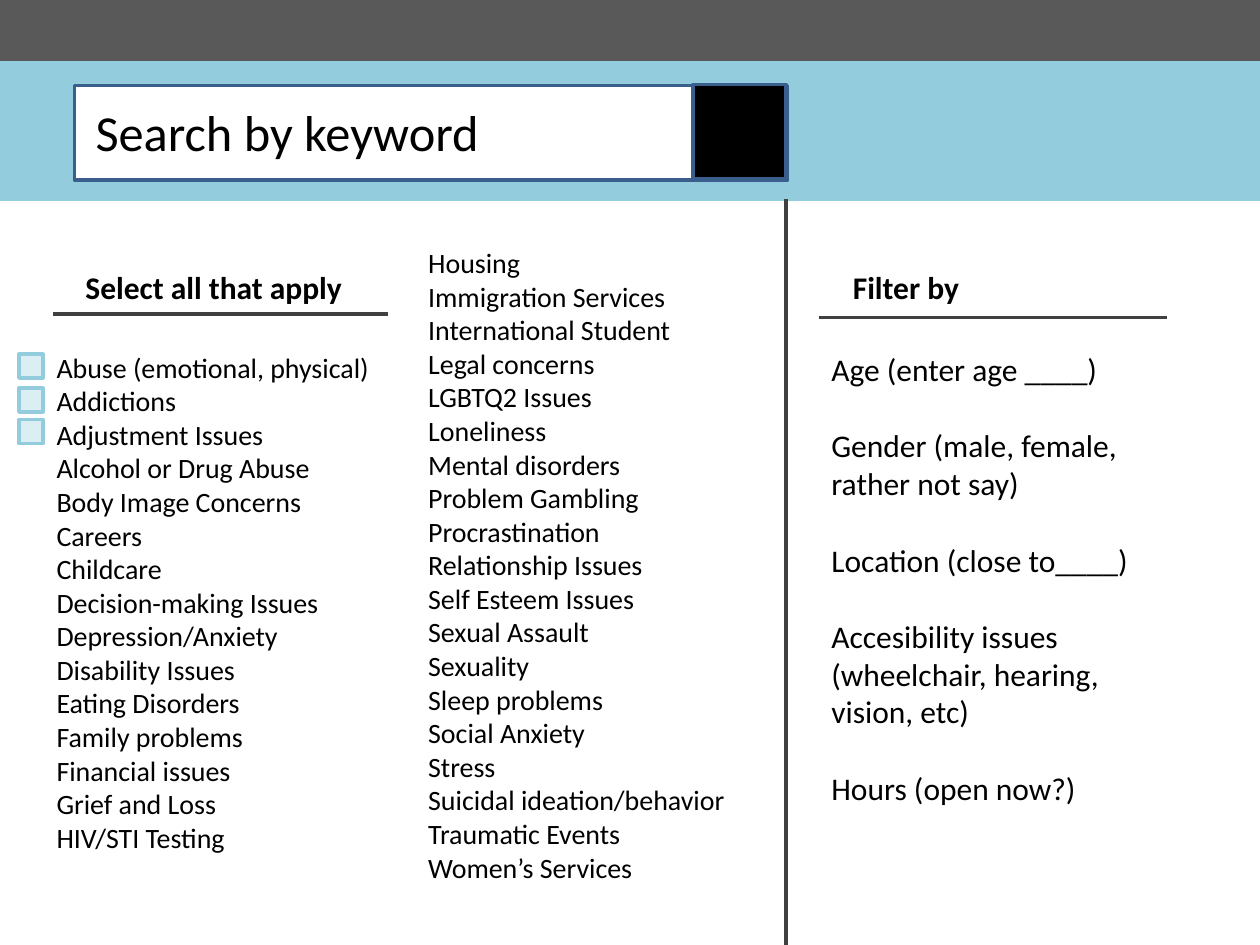
from pptx import Presentation
from pptx.dml.color import RGBColor
from pptx.enum.shapes import MSO_CONNECTOR, MSO_SHAPE
from pptx.enum.text import MSO_ANCHOR, PP_ALIGN
from pptx.oxml.ns import qn
from pptx.util import Inches, Pt
from lxml import etree

RECTANGLE = MSO_SHAPE.RECTANGLE
STRAIGHT = MSO_CONNECTOR.STRAIGHT
LEFT = PP_ALIGN.LEFT
TOP, MIDDLE = MSO_ANCHOR.TOP, MSO_ANCHOR.MIDDLE
FONT = "Calibri"

COLORS = {
    "top_bar": "595959",
    "band": "93CDDD",
    "outline": "3A5F8C",
    "rule": "404040",
    "checkbox": "DBEEF4",
    "white": "FFFFFF",
    "black": "000000",
}

FIRST_TOPICS = [
    "Abuse (emotional, physical)", "Addictions", "Adjustment Issues",
    "Alcohol or Drug Abuse", "Body Image Concerns", "Careers", "Childcare",
    "Decision-making Issues", "Depression/Anxiety", "Disability Issues",
    "Eating Disorders", "Family problems", "Financial issues",
    "Grief and Loss", "HIV/STI Testing",
]
SECOND_TOPICS = [
    "Housing", "Immigration Services", "International Student",
    "Legal concerns", "LGBTQ2 Issues", "Loneliness", "Mental disorders",
    "Problem Gambling", "Procrastination", "Relationship Issues",
    "Self Esteem Issues", "Sexual Assault", "Sexuality", "Sleep problems",
    "Social Anxiety", "Stress", "Suicidal ideation/behavior",
    "Traumatic Events", "Women’s Services",
]
FILTERS = [
    "Age (enter age ____)", "Gender (male, female, rather not say)",
    "Location (close to____)",
    "Accesibility issues (wheelchair, hearing, vision, etc)",
    "Hours (open now?)",
]


def color(name):
    """Return the named colour."""
    return RGBColor.from_string(COLORS[name])


def add_box(page, left, top, width, height, fill, line=None):
    """Add a filled rectangle, outlined when a line colour is given."""
    box = page.shapes.add_shape(RECTANGLE, Inches(left), Inches(top),
                                Inches(width), Inches(height))
    box.shadow.inherit = False
    box.fill.solid()
    box.fill.fore_color.rgb = color(fill)
    if line:
        box.line.color.rgb = color(line)
        box.line.width = Pt(2)
    else:
        box.line.fill.background()
    return box


def write(box, lines, size, bold=False, gap=0, anchor=TOP):
    """Write one black, left-aligned paragraph per line into a box."""
    frame = box.text_frame
    frame.word_wrap = True
    frame.vertical_anchor = anchor
    for index, line in enumerate(lines):
        para = frame.add_paragraph() if index else frame.paragraphs[0]
        para.text = line
        para.alignment = LEFT
        para.space_before = Pt(gap if index else 0)
        para.font.name = FONT
        para.font.size = Pt(size)
        para.font.bold = bold
        para.font.color.rgb = color("black")


def add_text(page, left, top, width, height, lines, size, **style):
    """Add a text box holding the given lines."""
    box = page.shapes.add_textbox(Inches(left), Inches(top),
                                  Inches(width), Inches(height))
    write(box, lines, size, **style)


def add_rule(page, x1, y1, x2, y2):
    """Add a dark straight line without a shadow."""
    rule = page.shapes.add_connector(STRAIGHT, Inches(x1), Inches(y1),
                                     Inches(x2), Inches(y2))
    rule.line.color.rgb = color("rule")
    rule.line.width = Pt(2.25)
    etree.SubElement(rule._element.spPr, qn("a:effectLst"))


def add_search_header(page):
    """Add the top bar, the band and the search field with its button."""
    add_box(page, 0, 0, 10, 0.5, "top_bar", "top_bar")
    add_box(page, 0, 0.5, 10, 1.08, "band", "band")
    add_box(page, 0.59, 0.68, 5.66, 0.75, "white", "outline")
    add_box(page, 5.5, 0.67, 0.74, 0.75, "black", "outline")
    prompt = add_box(page, 0.66, 0.75, 3.51, 0.58, "white")
    write(prompt, ["Search by keyword"], 28.8, anchor=MIDDLE)


def add_topics(page):
    """Add the two topic columns, their heading and the checkboxes."""
    add_text(page, 0.58, 2.08, 2.42, 0.4, ["Select all that apply"], 18, bold=True)
    add_rule(page, 0.42, 2.49, 3.08, 2.49)
    add_text(page, 0.35, 2.73, 2.81, 4.14, FIRST_TOPICS, 16)
    add_text(page, 3.3, 1.9, 2.81, 5.28, SECOND_TOPICS, 16)
    for top in (2.81, 3.08, 3.33):
        add_box(page, 0.15, top, 0.19, 0.19, "checkbox", "band")


def add_filters(page):
    """Add the filter panel to the right of the divider."""
    add_rule(page, 6.24, 1.58, 6.24, 7.5)
    add_text(page, 6.67, 2.08, 2.42, 0.4, ["Filter by"], 18, bold=True)
    add_rule(page, 6.5, 2.52, 9.26, 2.52)
    add_text(page, 6.5, 2.73, 2.59, 3.74, FILTERS, 18, gap=22)


def main():
    """Build the search page and save it."""
    deck = Presentation()
    deck.slide_width, deck.slide_height = Inches(10), Inches(7.5)
    page = deck.slides.add_slide(deck.slide_layouts[6])
    add_search_header(page)
    add_topics(page)
    add_filters(page)
    deck.save("out.pptx")


main()
